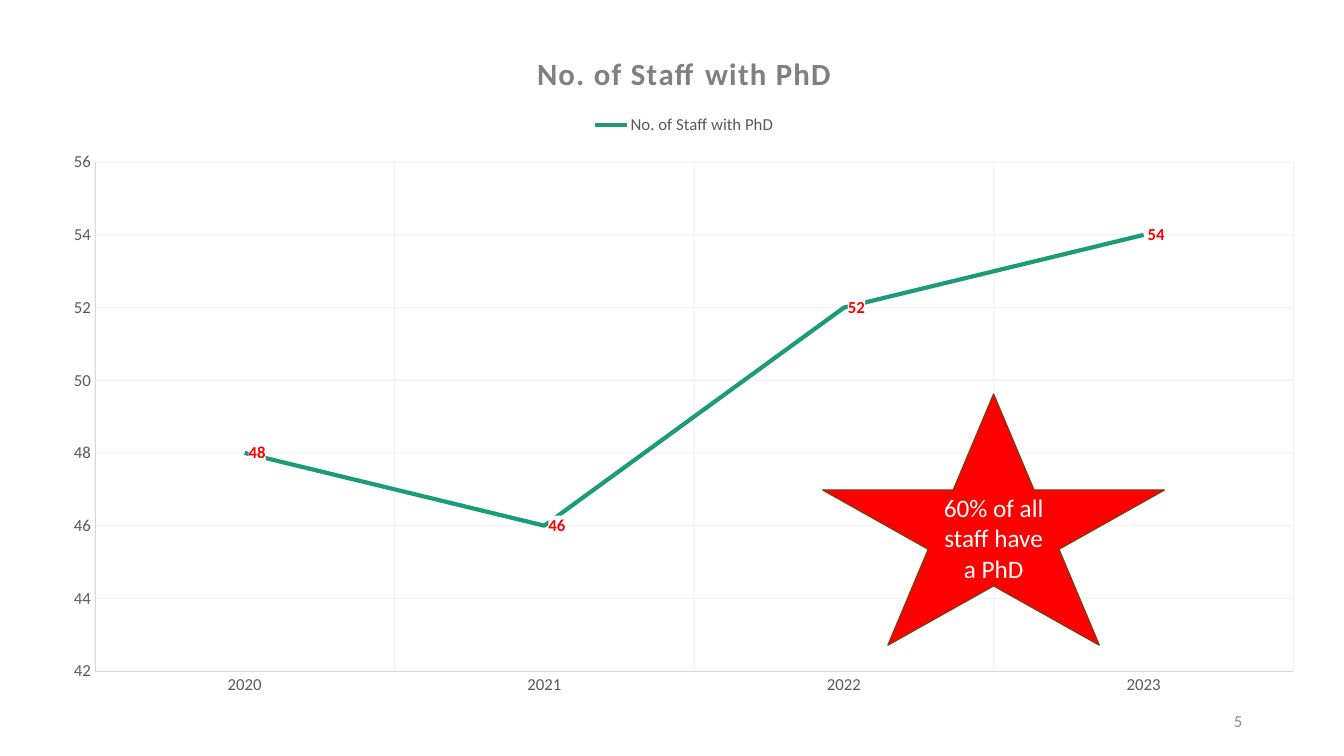
import pptx
import pptx.chart.data
import pptx.dml.color
import pptx.enum.chart
import pptx.enum.shapes
import pptx.enum.text
import pptx.oxml
import pptx.oxml.ns
import pptx.util

# Content
TITLE = "No. of Staff with PhD"
STAFF = {"2020": 48, "2021": 46, "2022": 52, "2023": 54}
NOTE = "60% of all staff have a PhD"
PAGE = "5"

# Theme
THEME = {
    "face": "Calibri",
    "title": {"size": 22, "color": "808080", "bold": True},
    "axis": {"size": 12, "color": "595959", "bold": False},
    "label": {"size": 12, "color": "FF0000", "bold": True},
    "note": {"size": 18, "color": "FFFFFF", "bold": False},
    "page": {"size": 12, "color": "8C8C8C", "bold": False},
    "trend": ("1D9A78", 3),
    "rule": ("D9D9D9", 0.25),
    "grid": ("D9D9D9", 0.75),
    "edge": ("873612", 1),
    "star": "FF0000",
    "back": "FFFFFF",
}

# Places in inches: left, top, width, height
WIDE, HIGH = 13.33, 7.5
CHART = (0.48, 0.28, 12.61, 6.75)
PLOT = (0.94, 1.61, 11.89, 5.05)
STAR = (8.16, 3.91, 3.39, 2.49)
FOOT = (9.42, 6.95, 3, 0.4)
SCALE = {"minimum_scale": 42, "maximum_scale": 56, "major_unit": 2}

CT = pptx.enum.chart
ALIGN = pptx.enum.text.PP_ALIGN
NS = pptx.oxml.ns.nsdecls("c", "a")


def put(item, **vals):
    for key, val in vals.items():
        setattr(item, key, val)


def rgb(code):
    return pptx.dml.color.RGBColor.from_string(code)


def style(font, kind):
    form = THEME[kind]
    put(font, name=THEME["face"], size=pptx.util.Pt(form["size"]), bold=form["bold"])
    font.color.rgb = rgb(form["color"])


def stroke(line, kind):
    code, width = THEME[kind]
    line.color.rgb = rgb(code)
    line.width = pptx.util.Pt(width)


def inch(box):
    return [pptx.util.Inches(v) for v in box]


def write(shape, text, kind, align):
    frame = shape.text_frame
    put(frame, word_wrap=True, vertical_anchor=pptx.enum.text.MSO_ANCHOR.MIDDLE)
    para = frame.paragraphs[0]
    para.alignment = align
    run = para.add_run()
    run.text = text
    style(run.font, kind)


def place(chart):
    """Fix the inner plot area as shares of the chart frame."""
    left, top, wide, high = CHART
    share = {"x": (PLOT[0] - left) / wide, "y": (PLOT[1] - top) / high,
             "w": PLOT[2] / wide, "h": PLOT[3] / high}
    modes = "".join(f'<c:{k}Mode val="edge"/>' for k in "xy")
    sizes = "".join(f'<c:{k} val="{v:.4f}"/>' for k, v in share.items())
    area = chart._chartSpace.xpath(".//c:plotArea")[0]
    for old in area.xpath("./c:layout"):
        area.remove(old)
    area.insert(0, pptx.oxml.parse_xml(
        f'<c:layout {NS}><c:manualLayout><c:layoutTarget val="inner"/>'
        f"{modes}{sizes}</c:manualLayout></c:layout>"))


def draw(slide):
    data = pptx.chart.data.CategoryChartData()
    data.categories = list(STAFF)
    data.add_series(TITLE, list(STAFF.values()))
    chart = slide.shapes.add_chart(CT.XL_CHART_TYPE.LINE, *inch(CHART), data).chart
    style(chart.font, "axis")

    # Title and legend
    put(chart, has_title=True, has_legend=True)
    run = chart.chart_title.text_frame.paragraphs[0].add_run()
    run.text = TITLE
    style(run.font, "title")
    run.font._element.set("spc", "100")
    put(chart.legend, position=CT.XL_LEGEND_POSITION.TOP, include_in_layout=False)
    style(chart.legend.font, "axis")

    # Axes and pale grid
    for axis in (chart.category_axis, chart.value_axis):
        put(axis, has_major_gridlines=True,
            major_tick_mark=CT.XL_TICK_MARK.NONE, minor_tick_mark=CT.XL_TICK_MARK.NONE)
        style(axis.tick_labels.font, "axis")
        stroke(axis.format.line, "rule")
        stroke(axis.major_gridlines.format.line, "grid")
    put(chart.value_axis, **SCALE)
    for tint in chart._chartSpace.xpath(".//c:majorGridlines//a:srgbClr"):
        tint.append(pptx.oxml.parse_xml(f'<a:alpha {NS} val="32000"/>'))

    # Trend line and its labels
    plot = chart.plots[0]
    plot.vary_by_categories = False
    trend = plot.series[0]
    trend.smooth = False
    trend.marker.style = CT.XL_MARKER_STYLE.NONE
    stroke(trend.format.line, "trend")
    labels = trend.data_labels
    put(labels, show_value=True, position=CT.XL_LABEL_POSITION.RIGHT)
    style(labels.font, "label")
    labels._element.xpath("./c:txPr")[0].addprevious(pptx.oxml.parse_xml(
        f'<c:spPr {NS}><a:solidFill><a:srgbClr val="{THEME["back"]}"/>'
        "</a:solidFill></c:spPr>"))
    place(chart)


def main():
    deck = pptx.Presentation()
    put(deck, slide_width=pptx.util.Inches(WIDE), slide_height=pptx.util.Inches(HIGH))
    slide = deck.slides.add_slide(deck.slide_layouts[6])
    draw(slide)

    # Star note
    star = slide.shapes.add_shape(
        pptx.enum.shapes.MSO_SHAPE.STAR_5_POINT, *inch(STAR))
    star.shadow.inherit = False
    star.fill.solid()
    star.fill.fore_color.rgb = rgb(THEME["star"])
    stroke(star.line, "edge")
    write(star, NOTE, "note", ALIGN.CENTER)

    # Page number
    write(slide.shapes.add_textbox(*inch(FOOT)), PAGE, "page", ALIGN.RIGHT)
    deck.save("out.pptx")


if __name__ == "__main__":
    main()
